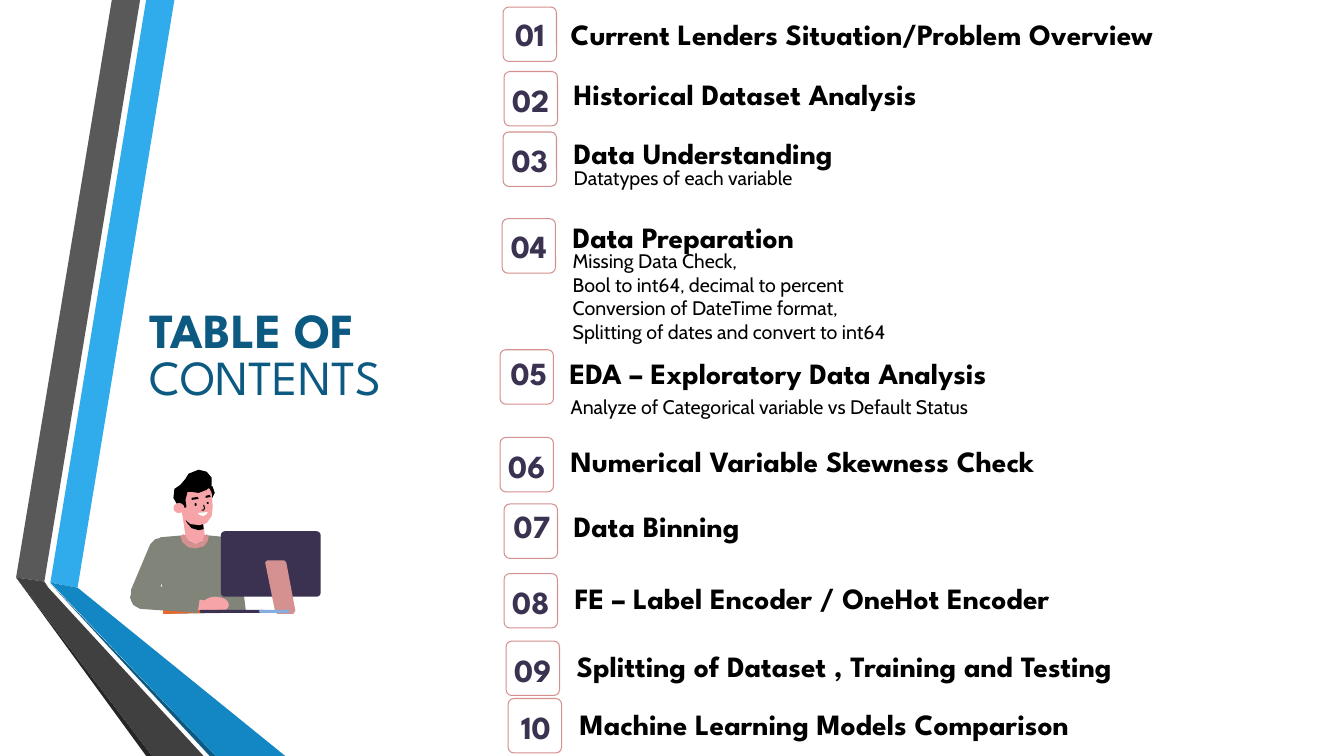
import pptx
import pptx.dml.color
import pptx.enum.shapes
import pptx.enum.text
import pptx.util

Inches = pptx.util.Inches
Kind = pptx.enum.shapes.MSO_SHAPE
Align = pptx.enum.text.PP_ALIGN
Anchor = pptx.enum.text.MSO_ANCHOR

HEADING_FONT, DETAIL_FONT = "League Spartan", "Cabin"
NAVY, ROSE, BLACK, WHITE = "3B3252", "D59090", "000000", "FFFFFF"
SKIN, SWEATER, TITLE_BLUE = "F6A4A7", "818479", "0C5A82"

# Bands as (colour, outline), in inches from the ribbon's corner
RIBBON = [
    ("30ACEC", [(0.34, 5.78), (0.61, 5.83), (1.57, 0), (1.29, 0)]),
    ("595959", [(1.23, 0), (0.95, 0), (0, 5.73), (0.28, 5.77)]),
    ("262626", [(0, 5.73), (1.29, 7.5), (1.35, 7.5)]),
    ("0C5A82", [(0.34, 5.79), (1.92, 7.5), (1.98, 7.5)]),
    ("1287C3", [(0.34, 5.78), (1.98, 7.5), (2.67, 7.5), (0.61, 5.83)]),
    ("404040", [(0, 5.73), (1.35, 7.5), (1.86, 7.5), (0.32, 5.83), (0.28, 5.77)]),
]

# Worker at a desk, back to front: outlines are point lists,
# ovals and rounded bars are (kind, left, top, width, height)
OVAL, BAR = Kind.OVAL, Kind.ROUNDED_RECTANGLE
BODY = [
    (SWEATER, [(0.96, 0.67), (1, 0.67), (1.06, 0.71), (1.09, 0.77), (1.17, 1.41), (1.03, 1.41),
               (0.95, 1.38), (0.91, 1.32), (0.83, 0.83), (0.84, 0.76), (0.89, 0.69)]),
    (SWEATER, [(0.67, 0.64), (0.99, 0.67), (1.01, 1.42), (0.35, 1.43), (0.32, 0.67)]),
    (ROSE, [(0.78, 0.64), (0.8, 0.66), (0.79, 0.71), (0.75, 0.76), (0.67, 0.78), (0.6, 0.77),
            (0.54, 0.72), (0.52, 0.66), (0.55, 0.64), (0.57, 0.66), (0.6, 0.72), (0.67, 0.74),
            (0.73, 0.72), (0.75, 0.66)]),
    ("F26425", [(0.34, 1.29), (0.75, 1.33), (0.76, 1.42), (0.35, 1.43)]),
    (SWEATER, [(0.34, 0.67), (0.42, 0.7), (0.48, 0.8), (0.46, 0.87), (0.25, 1.31), (0.2, 1.36),
               (0.14, 1.38), (0.08, 1.36), (0.03, 1.3), (0.03, 1.19), (0.22, 0.74), (0.27, 0.69)]),
    (SKIN, [(0.47, 1.25), (0.78, 1.3), (0.8, 1.4), (0.55, 1.38)]),
    (SKIN, (OVAL, 0.74, 1.26, 0.26, 0.16)),
    (SWEATER, [(0.15, 1.13), (0.72, 1.22), (0.69, 1.42), (0.12, 1.38), (0.05, 1.34),
               (0.02, 1.27), (0.04, 1.18), (0.09, 1.14)]),
]
HEAD = [
    (SKIN, [(0.53, 0.38), (0.73, 0.4), (0.76, 0.64), (0.74, 0.71), (0.67, 0.74), (0.6, 0.71),
            (0.57, 0.66)]),
    (BLACK, [(0.55, 0.44), (0.74, 0.5), (0.75, 0.59), (0.7, 0.6), (0.63, 0.58), (0.58, 0.52)]),
    (BLACK, [(0.8, 0.13), (0.84, 0.17), (0.86, 0.23), (0.83, 0.29), (0.8, 0.31), (0.77, 0.28),
             (0.74, 0.14)]),
    (BLACK, [(0.52, 0.15), (0.54, 0.38), (0.5, 0.37), (0.45, 0.28), (0.46, 0.19)]),
    (SKIN, [(0.76, 0.17), (0.81, 0.19), (0.83, 0.23), (0.84, 0.37), (0.83, 0.46), (0.78, 0.53),
            (0.71, 0.55), (0.62, 0.54), (0.55, 0.48), (0.53, 0.41), (0.51, 0.24), (0.54, 0.19)]),
    (BLACK, (OVAL, 0.66, 0.33, 0.02, 0.03)),
    (BLACK, (OVAL, 0.78, 0.32, 0.02, 0.02)),
    (BLACK, [(0.63, 0.28), (0.69, 0.27), (0.7, 0.29), (0.63, 0.3)]),
    (BLACK, [(0.77, 0.26), (0.81, 0.25), (0.82, 0.27), (0.77, 0.28)]),
    (WHITE, [(0.69, 0.43), (0.79, 0.42), (0.78, 0.44), (0.75, 0.46), (0.71, 0.45)]),
    (BLACK, [(0.7, 0), (0.78, 0.02), (0.83, 0.08), (0.83, 0.15), (0.78, 0.2), (0.7, 0.23),
             (0.63, 0.22), (0.59, 0.22), (0.57, 0.3), (0.58, 0.37), (0.56, 0.38), (0.52, 0.36),
             (0.47, 0.23), (0.52, 0.15), (0.57, 0.09), (0.6, 0.04)]),
    (SKIN, (OVAL, 0.45, 0.33, 0.11, 0.1)),
]
NOSE = [(0.75, 0.35), (0.76, 0.38), (0.75, 0.4), (0.73, 0.4)]
DESK = [
    (NAVY, (BAR, 0.88, 1.39, 0.47, 0.03)),
    (NAVY, (BAR, 0.71, 1.39, 0.3, 0.03)),
    (NAVY, (BAR, 0.92, 0.61, 0.99, 0.65)),
    (ROSE, [(1.38, 0.9), (1.55, 0.9), (1.57, 0.92), (1.66, 1.4), (1.64, 1.43), (1.48, 1.43),
            (1.46, 1.41), (1.36, 0.92)]),
    ("85ADDE", (BAR, 1.3, 1.39, 0.3, 0.03)),
]

# Badge left and top, number offset, heading offset, heading
CONTENTS = [
    (4.99, 0.07, (0.06, 0.06), (0.67, 0.09), "Current Lenders Situation/Problem Overview"),
    (5.00, 0.71, (0.06, 0.07), (0.69, 0.05), "Historical Dataset Analysis"),
    (4.99, 1.31, (0.06, 0.07), (0.70, 0.03), "Data Understanding"),
    (4.98, 2.17, (0.06, 0.06), (0.70, 0.00), "Data Preparation"),
    (4.96, 3.47, (0.08, 0.02), (0.69, 0.05), "EDA – Exploratory Data Analysis"),
    (4.96, 4.34, (0.06, 0.07), (0.70, 0.06), "Numerical Variable Skewness Check"),
    (5.00, 5.00, (0.07, 0.01), (0.69, 0.04), "Data Binning"),
    (5.00, 5.69, (0.06, 0.07), (0.70, 0.06), "FE – Label Encoder / OneHot Encoder"),
    (5.02, 6.36, (0.06, 0.08), (0.70, 0.07), "Splitting of Dataset , Training and Testing"),
    (5.04, 6.93, (0.07, 0.07), (0.71, 0.07), "Machine Learning Models Comparison"),
]
# Item number: offset below the badge top, height, lines
DETAILS = {
    3: (0.34, 0.29, ["Datatypes of each variable"]),
    4: (0.30, 1.06, ["Missing Data Check,", "Bool to int64, decimal to percent",
                     "Conversion of DateTime format,", "Splitting of dates and convert to int64"]),
    5: (0.45, 0.29, ["Analyze of Categorical variable vs Default Status"]),
}


def colour(code):
    return pptx.dml.color.RGBColor.from_string(code)


def style_span(span, size, font, code, bold=False):
    span.font.size, span.font.name, span.font.bold = pptx.util.Pt(size), font, bold
    span.font.color.rgb = colour(code)


def style_shape(shape, fill=None, line=None):
    shape.shadow.inherit = False
    if fill:
        shape.fill.solid()
        shape.fill.fore_color.rgb = colour(fill)
    else:
        shape.fill.background()
    if line:
        shape.line.color.rgb = colour(line)
        shape.line.width = pptx.util.Pt(0.75)
    else:
        shape.line.fill.background()


def add_text(page, left, top, width, height, text):
    frame = page.shapes.add_textbox(*map(Inches, (left, top, width, height))).text_frame
    frame.margin_left = frame.margin_top = frame.margin_right = frame.margin_bottom = 0
    frame.word_wrap = True
    frame.text = text
    return frame


def add_outline(shapes, left, top, points, close=True):
    corners = [(Inches(left + x), Inches(top + y)) for x, y in points]
    builder = shapes.build_freeform(*corners[0])
    builder.add_line_segments(corners[1:], close=close)
    return builder.convert_to_shape()


def add_parts(shapes, left, top, parts):
    for fill, form in parts:
        if isinstance(form, list):
            shape = add_outline(shapes, left, top, form)
        else:
            kind, x, y, width, height = form
            shape = shapes.add_shape(kind, *map(Inches, (left + x, top + y, width, height)))
            if kind == BAR:
                shape.adjustments[0] = min(0.5, 0.04 / height)
        style_shape(shape, fill=fill)


def add_ribbon(page, left, top):
    add_parts(page.shapes.add_group_shape().shapes, left, top, RIBBON)


def add_worker(page, left, top):
    shapes = page.shapes.add_group_shape().shapes
    add_parts(shapes, left, top, BODY + HEAD)
    style_shape(add_outline(shapes, left, top, NOSE, close=False), line=BLACK)
    add_parts(shapes, left, top, DESK)


def add_title(page, left, top, width, height):
    para = add_text(page, left, top, width, height, "TABLE OF ").paragraphs[0]
    para.line_spacing = 0.8
    para.add_run().text = "CONTENTS"
    for span, bold in zip(para.runs, (True, False)):
        style_span(span, 35, HEADING_FONT, TITLE_BLUE, bold)


def add_item(page, number, left, top, number_offset, heading_offset, heading):
    # Numbered badge
    badge = page.shapes.add_shape(BAR, *map(Inches, (left, top, 0.53, 0.54)))
    badge.adjustments[0] = 0.108
    style_shape(badge, line=ROSE)
    dx, dy = number_offset
    frame = add_text(page, left + dx, top + dy, 0.41, 0.41, f"{number:02}")
    frame.vertical_anchor = Anchor.MIDDLE
    frame.paragraphs[0].alignment = Align.CENTER
    style_span(frame.paragraphs[0].runs[0], 23, HEADING_FONT, NAVY, True)
    # Heading and details
    dx, dy = heading_offset
    frame = add_text(page, left + dx, top + dy, 5.83, 0.42, heading)
    style_span(frame.paragraphs[0].runs[0], 21, HEADING_FONT, BLACK, True)
    if number in DETAILS:
        drop, height, lines = DETAILS[number]
        frame = add_text(page, left + 0.7, top + drop, 4.55, height, "\n".join(lines))
        for para in frame.paragraphs:
            style_span(para.runs[0], 14, DETAIL_FONT, BLACK)


def main():
    deck = pptx.Presentation()
    deck.slide_width, deck.slide_height = Inches(13.33), Inches(7.5)
    page = deck.slides.add_slide(deck.slide_layouts[6])
    add_ribbon(page, 0.16, 0)
    add_title(page, 1.48, 3.08, 3.02, 0.95)
    add_worker(page, 1.27, 4.66)
    for number, item in enumerate(CONTENTS, start=1):
        add_item(page, number, *item)
    deck.save("out.pptx")


if __name__ == "__main__":
    main()
